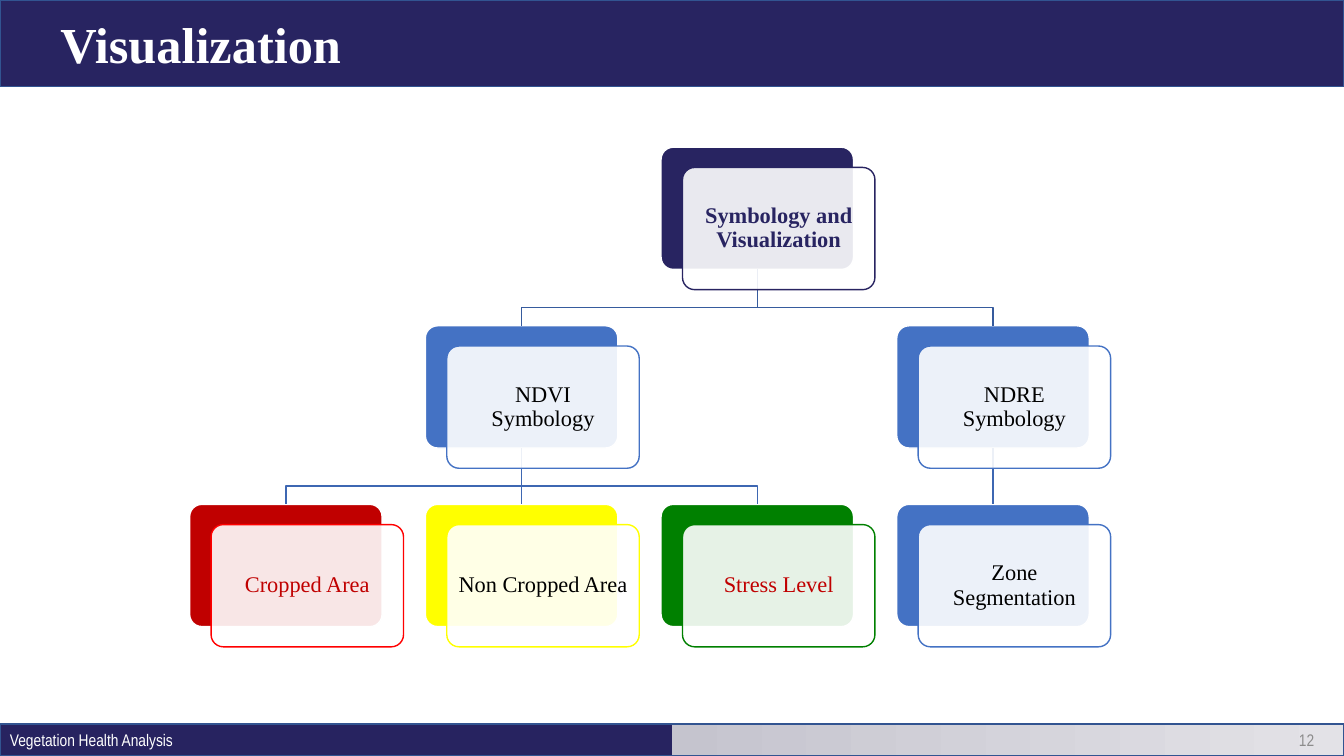
from copy import deepcopy

from lxml import etree
from pptx import Presentation
from pptx import util as u
from pptx.dml.color import RGBColor
from pptx.enum import shapes, text
from pptx.oxml.ns import qn

COLORS = {
    "navy": "282461", "footer": "272360", "silver": "C5C4CE", "pale": "E3E2E7",
    "border": "325491", "gray": "8C8C8C", "white": "FFFFFF", "black": "000000",
    "blue": "4472C4", "crimson": "C00000", "red": "FF0000", "yellow": "FFFF00",
    "green": "008000", "upper_link": "365B9D", "lower_link": "3E67B2",
}
SERIF = "Times New Roman"
NARROW = "Arial Narrow"
WIDTH, HEIGHT = u.Cm(33.87), u.Cm(19.05)
COLUMN_PITCH, ROW_PITCH = u.Cm(5.94), u.Cm(4.5)
NODE_WIDTH, NODE_HEIGHT = u.Cm(4.85), u.Cm(3.08)
CARD_SHIFT_X, CARD_SHIFT_Y = u.Cm(0.54), u.Cm(0.51)
ELBOW_DROP = u.Cm(0.96)

# key: (column, row, label, panel, outline, font colour, bold, parent)
NODES = {
    "root": (2, 0, "Symbology and Visualization", "navy", "navy", "navy", True, None),
    "ndvi": (1, 1, "NDVI\vSymbology", "blue", "blue", "black", False, "root"),
    "ndre": (3, 1, "NDRE\vSymbology", "blue", "blue", "black", False, "root"),
    "cropped": (0, 2, "Cropped Area", "crimson", "red", "crimson", False, "ndvi"),
    "bare": (1, 2, "Non Cropped Area", "yellow", "yellow", "black", False, "ndvi"),
    "stress": (2, 2, "Stress Level", "green", "green", "crimson", False, "ndvi"),
    "zone": (3, 2, "Zone Segmentation", "blue", "blue", "black", False, "ndre"),
}


def rgb(name):
    return RGBColor.from_string(COLORS[name])


def add_box(slide, kind, box, fill, line):
    shape = slide.shapes.add_shape(kind, *box)
    shape.shadow.inherit = False
    shape.fill.solid()
    shape.fill.fore_color.rgb = rgb(fill)
    shape.line.color.rgb = rgb(line)
    shape.line.width = u.Pt(1)
    return shape


def write(shape, content, size, font, color, align, bold=False):
    frame = shape.text_frame
    frame.word_wrap = True
    frame.vertical_anchor = text.MSO_ANCHOR.MIDDLE
    paragraph = frame.paragraphs[0]
    paragraph.text = content
    paragraph.alignment = align
    paragraph.font.size = u.Pt(size)
    paragraph.font.name = font
    paragraph.font.bold = bold
    paragraph.font.color.rgb = rgb(color)
    return paragraph


def add_header(slide, box):
    banner = add_box(slide, shapes.MSO_SHAPE.RECTANGLE, box, "navy", "border")
    title = write(banner, "Visualization", 36, SERIF, "white", text.PP_ALIGN.LEFT, True)
    title.level = 1


def add_footer(slide, box):
    left, top, width, height = box
    band = add_box(slide, shapes.MSO_SHAPE.RECTANGLE, box, "footer", "border")
    band.fill.gradient()
    band.fill.gradient_angle = 0
    stop_list = band._element.spPr.find(qn("a:gradFill")).find(qn("a:gsLst"))
    stop_list.insert(1, deepcopy(stop_list[0]))
    stops = (("footer", 0.5), ("silver", 0.5), ("pale", 1))
    for stop, (color, position) in zip(band.fill.gradient_stops, stops):
        stop.color.rgb = rgb(color)
        stop.position = position

    label_height = u.Cm(1.02)
    label_top = top + (height - label_height) // 2
    number_width = u.Cm(7.62)
    number_left = left + width - number_width - u.Cm(0.5)
    labels = (
        (left, u.Cm(8.05), "Vegetation Health Analysis", "white", text.PP_ALIGN.LEFT),
        (number_left, number_width, "12", "gray", text.PP_ALIGN.RIGHT),
    )
    for label_left, label_width, content, color, align in labels:
        label = slide.shapes.add_textbox(label_left, label_top, label_width, label_height)
        write(label, content, 12, NARROW, color, align)


def add_link(slide, parent, child, color):
    start_x, start_y = parent.left + parent.width // 2, parent.top + parent.height
    end_x, end_y = child.left + child.width // 2, child.top
    if start_x == end_x:
        link = slide.shapes.add_connector(
            shapes.MSO_CONNECTOR.STRAIGHT, start_x, start_y, end_x, end_y)
        link.begin_connect(parent, 2)
        link.end_connect(child, 0)
        etree.SubElement(link._element.spPr, qn("a:effectLst"))
    else:
        bend_y = start_y + ELBOW_DROP
        builder = slide.shapes.build_freeform(start_x, start_y)
        builder.add_line_segments(
            [(start_x, bend_y), (end_x, bend_y), (end_x, end_y)], close=False)
        link = builder.convert_to_shape()
        link.shadow.inherit = False
        link.fill.background()
    link.line.color.rgb = rgb(color)
    link.line.width = u.Pt(1)


def add_card(slide, panel, label, outline, color, bold):
    box = (panel.left + CARD_SHIFT_X, panel.top + CARD_SHIFT_Y, panel.width, panel.height)
    card = add_box(slide, shapes.MSO_SHAPE.ROUNDED_RECTANGLE, box, "white", outline)
    card.adjustments[0] = 0.1
    fill_color = card._element.spPr.find(qn("a:solidFill"))[0]
    etree.SubElement(fill_color, qn("a:alpha"), val="90000")
    frame = card.text_frame
    frame.margin_left = frame.margin_right = u.Cm(0.17)
    frame.margin_top = frame.margin_bottom = u.Cm(0.17)
    paragraph = write(card, label, 16, SERIF, color, text.PP_ALIGN.CENTER, bold)
    paragraph.line_spacing = 0.9


def add_hierarchy(slide, left, top):
    panels = {}
    for key, (column, row, _, fill, *_) in NODES.items():
        box = (left + column * COLUMN_PITCH, top + row * ROW_PITCH, NODE_WIDTH, NODE_HEIGHT)
        panels[key] = add_box(
            slide, shapes.MSO_SHAPE.ROUNDED_RECTANGLE, box, fill, "white")
        panels[key].adjustments[0] = 0.1
    for key, (*_, parent) in NODES.items():
        if parent:
            color = "upper_link" if parent == "root" else "lower_link"
            add_link(slide, panels[parent], panels[key], color)
    for key, (_, _, label, _, outline, color, bold, _) in NODES.items():
        add_card(slide, panels[key], label, outline, color, bold)


def main():
    presentation = Presentation()
    presentation.slide_width, presentation.slide_height = WIDTH, HEIGHT
    slide = presentation.slides.add_slide(presentation.slide_layouts[6])
    footer_height = u.Cm(0.81)
    add_header(slide, (0, 0, WIDTH, u.Cm(2.18)))
    add_footer(slide, (0, HEIGHT - footer_height, WIDTH, footer_height))
    add_hierarchy(slide, u.Cm(4.78), u.Cm(3.71))
    presentation.save("out.pptx")


if __name__ == "__main__":
    main()
